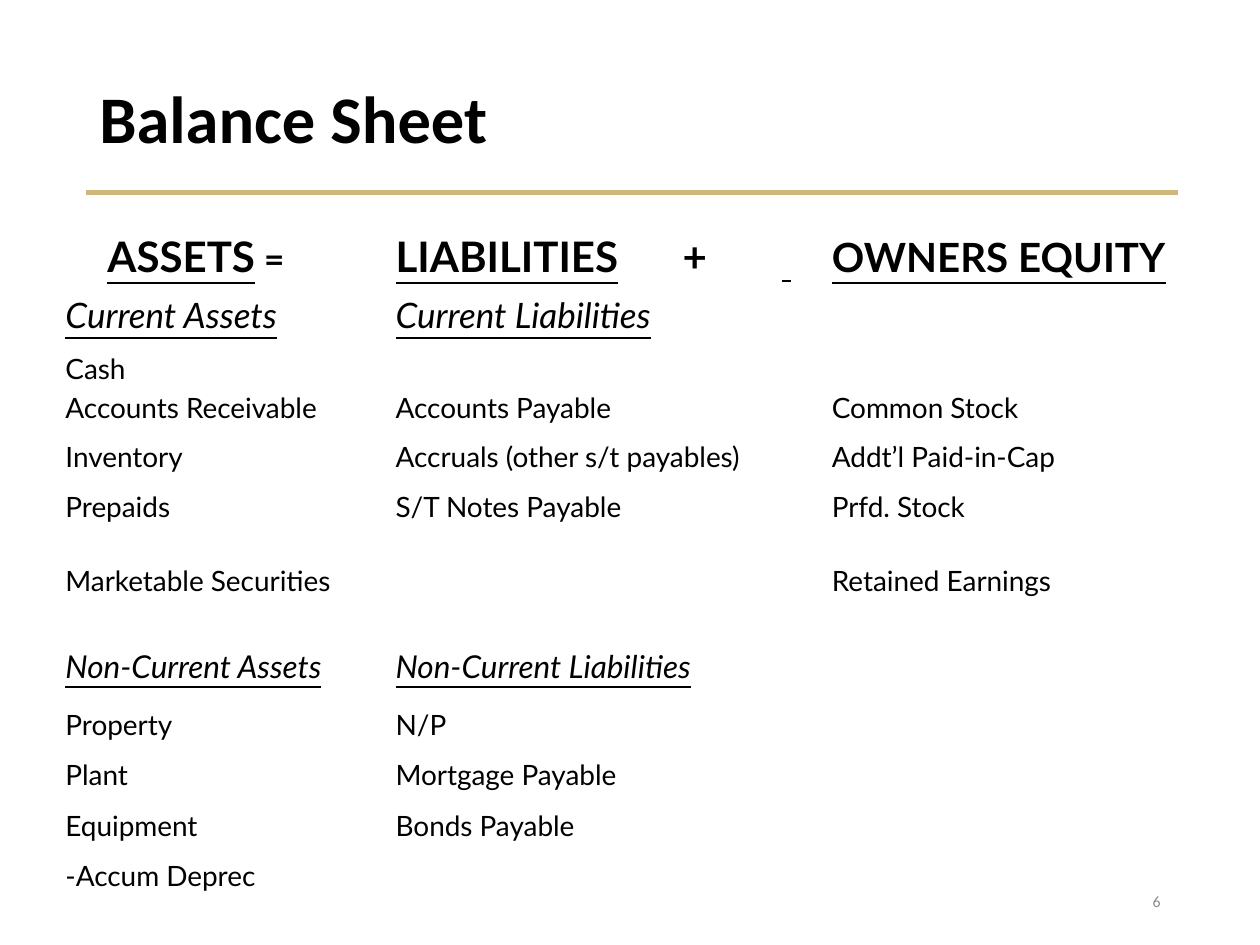
from pptx import Presentation
from pptx.dml.color import RGBColor
from pptx.enum.shapes import MSO_CONNECTOR
from pptx.enum.text import MSO_ANCHOR, PP_ALIGN
from pptx.oxml.ns import qn
from pptx.util import Pt
from lxml.etree import SubElement

TITLE = "Balance Sheet"
PAGE_NUMBER = "6"
BLACK, GOLD, GRAY = "000000", "CFB87C", "8C8C8C"
COLUMN_WIDTHS = [188.7, 249.3, 222]

HEADING = dict(size=24, bold=True)
CURRENT = dict(size=20, italic=True, underline=True)
NON_CURRENT = dict(size=18, italic=True, underline=True)
ITEM = dict(size=16)

HEADER_HEIGHT = 50.4
HEADERS = [
    dict(
        runs=[("ASSETS", dict(underline=True)), (" ", dict(size=20, bold=False)), ("=", dict(size=20))],
        indent=24,
    ),
    dict(
        runs=[
            ("LIABILITIES", dict(underline=True)),
            ("\t+\t", {}),
            (" ", dict(size=20, bold=False, underline=True)),
        ],
        tabs=[164, 221],
    ),
    dict(runs=[("OWNERS EQUITY", dict(size=23, underline=True))]),
]
ROWS = [
    (31.7, CURRENT, ["Current Assets", "Current Liabilities", ""]),
    (50.4, ITEM, ["Cash\nAccounts Receivable", "Accounts Payable", "Common Stock"]),
    (28.1, ITEM, ["Inventory", "Accruals (other s/t payables)", "Addt’l Paid-in-Cap"]),
    (28.1, ITEM, ["Prepaids", "S/T Notes Payable", "Prfd. Stock"]),
    (42.5, ITEM, ["Marketable Securities", "", "Retained Earnings"]),
    (50.4, NON_CURRENT, ["Non-Current Assets", "Non-Current Liabilities", ""]),
    (31.7, ITEM, ["Property", "N/P", ""]),
    (28.1, ITEM, ["Plant", "Mortgage Payable", ""]),
    (28.1, ITEM, ["Equipment", "Bonds Payable", ""]),
    (28.1, ITEM, ["-Accum Deprec", "", ""]),
]


def color(value):
    return RGBColor.from_string(value)


def add_run(paragraph, text, size=16, font="Lato", fill=BLACK, bold=False, italic=False, underline=False):
    run = paragraph.add_run()
    run.text = text
    run.font.size = Pt(size)
    run.font.name = font
    run.font.color.rgb = color(fill)
    run.font.bold = bold
    run.font.italic = italic
    run.font.underline = underline


def add_text_box(slide, text, left, top, width, height, align=PP_ALIGN.LEFT, spacing=1.0, **style):
    frame = slide.shapes.add_textbox(Pt(left), Pt(top), Pt(width), Pt(height)).text_frame
    frame.word_wrap = True
    frame.vertical_anchor = MSO_ANCHOR.MIDDLE
    paragraph = frame.paragraphs[0]
    paragraph.alignment = align
    paragraph.line_spacing = spacing
    add_run(paragraph, text, **style)


def add_rule(slide, left, right, top):
    rule = slide.shapes.add_connector(MSO_CONNECTOR.STRAIGHT, Pt(left), Pt(top), Pt(right), Pt(top))
    rule.line.color.rgb = color(GOLD)
    rule.line.width = Pt(3)
    SubElement(rule._element.spPr, qn("a:effectLst"))


def fill_header(cell, runs, indent=0, tabs=()):
    paragraph = cell.text_frame.paragraphs[0]
    properties = paragraph._p.get_or_add_pPr()
    properties.set("marL", str(Pt(indent)))
    if tabs:
        tab_list = SubElement(properties, qn("a:tabLst"))
        for position in tabs:
            SubElement(tab_list, qn("a:tab"), pos=str(Pt(position)), algn="l")
    for text, changes in runs:
        add_run(paragraph, text, **{**HEADING, **changes})


def fill_cell(cell, text, style):
    frame = cell.text_frame
    for index, line in enumerate(text.split("\n")):
        paragraph = frame.add_paragraph() if index else frame.paragraphs[0]
        if index:
            paragraph.space_before = Pt(3.2)
        add_run(paragraph, line, **style)


def add_balance_table(slide):
    heights = [HEADER_HEIGHT] + [height for height, _, _ in ROWS]
    table = slide.shapes.add_table(
        len(heights), len(COLUMN_WIDTHS), Pt(30.2), Pt(113.8), Pt(sum(COLUMN_WIDTHS)), Pt(sum(heights))
    ).table
    table.first_row = False
    table.horz_banding = False
    for column, width in zip(table.columns, COLUMN_WIDTHS):
        column.width = Pt(width)
    for row, height in zip(table.rows, heights):
        row.height = Pt(height)
    for cell in table.iter_cells():
        cell.fill.background()
        cell.vertical_anchor = MSO_ANCHOR.BOTTOM
    for index, header in enumerate(HEADERS):
        fill_header(table.cell(0, index), **header)
    for row_index, (_, style, texts) in enumerate(ROWS, start=1):
        for index, text in enumerate(texts):
            fill_cell(table.cell(row_index, index), text, style)


def main():
    presentation = Presentation()
    presentation.slide_width, presentation.slide_height = Pt(720), Pt(540)
    slide = presentation.slides.add_slide(presentation.slide_layouts[6])
    add_rule(slide, 49, 673.2, 110.2)
    add_text_box(slide, TITLE, 49.7, 28.8, 620.6, 81.4, spacing=0.9, size=38, font="Calibri", bold=True)
    add_balance_table(slide)
    add_text_box(
        slide, PAGE_NUMBER, 508.3, 500.4, 162, 28.8, align=PP_ALIGN.RIGHT, size=9, font="Calibri", fill=GRAY
    )
    presentation.save("out.pptx")


if __name__ == "__main__":
    main()
